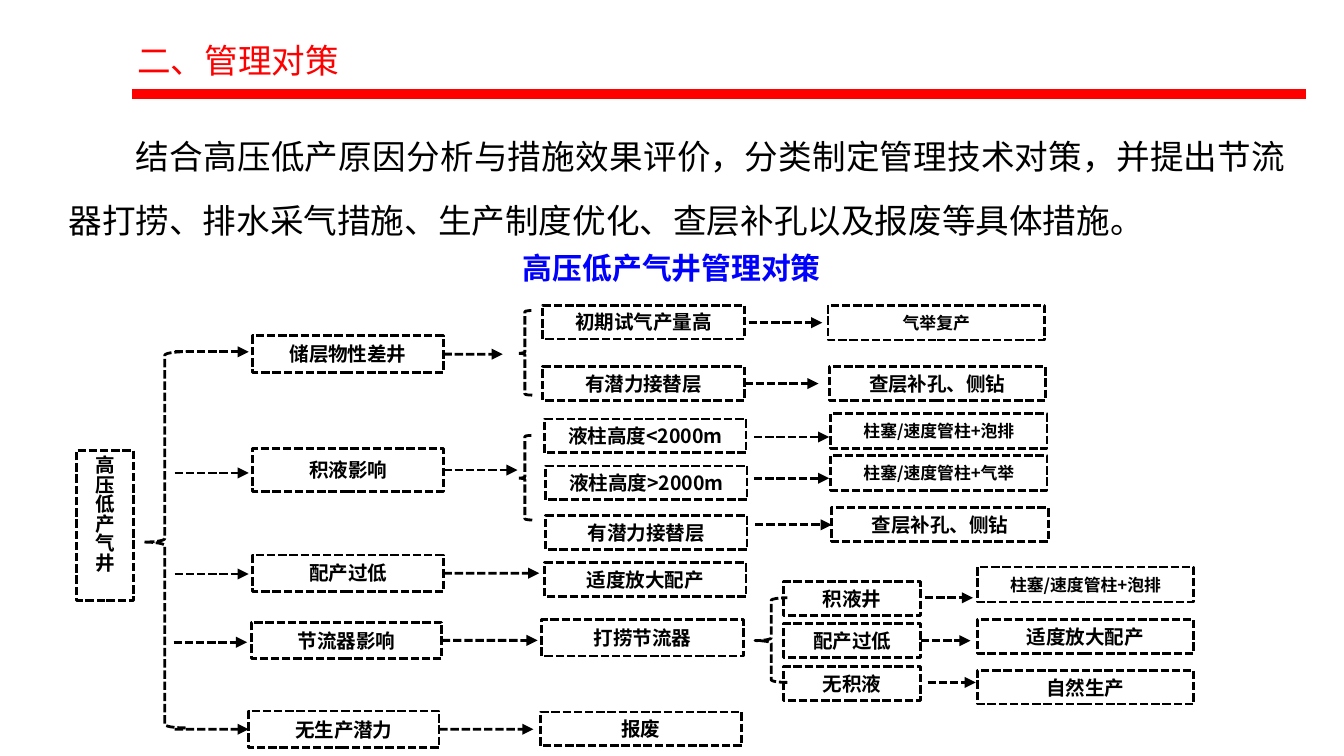
from pptx import Presentation
from pptx.dml.color import RGBColor as RGB
from pptx.enum.dml import MSO_LINE as Dash
from pptx.enum.shapes import MSO_CONNECTOR as Link, MSO_SHAPE as Form
from pptx.enum.text import MSO_ANCHOR as Anchor, MSO_AUTO_SIZE as Fit, PP_ALIGN as Align
from pptx.oxml.ns import qn
from pptx.util import Cm, Pt
from lxml.etree import SubElement as Sub

# ---- Content (all lengths in cm) ----
TITLE = "二、管理对策"
BODY = ("结合高压低产原因分析与措施效果评价，分类制定管理技术对策，并提出节流器打捞、"
        "排水采气措施、生产制度优化、查层补孔以及报废等具体措施。")
HEAD = "高压低产气井管理对策"
ROOT = ("高压低产气井", 1.45, 8.51, 1.07, 2.84)

# Each column: box width, then (text, left, top, height, type size)
COLS = [
    (3.6, [  # causes
        ("储层物性差井", 4.78, 6.35, 0.69, "box"),
        ("积液影响", 4.78, 8.48, 0.81, "box"),
        ("配产过低", 4.78, 10.49, 0.69, "box"),
        ("节流器影响", 4.75, 11.76, 0.69, "box"),
        ("无生产潜力", 4.7, 13.44, 0.69, "box")]),
    (3.81, [  # conditions
        ("初期试气产量高", 10.26, 5.77, 0.64, "box"),
        ("有潜力接替层", 10.26, 6.93, 0.64, "box"),
        ("液柱高度<2000m", 10.29, 7.92, 0.64, "box"),
        ("液柱高度>2000m", 10.31, 8.81, 0.64, "box"),
        ("有潜力接替层", 10.31, 9.75, 0.64, "box"),
        ("适度放大配产", 10.29, 10.64, 0.64, "box"),
        ("打捞节流器", 10.24, 11.71, 0.69, "box"),
        ("报废", 10.21, 13.46, 0.64, "box")]),
    (4.09, [  # measures
        ("气举复产", 15.65, 5.77, 0.66, "small"),
        ("查层补孔、侧钻", 15.67, 6.93, 0.64, "box"),
        ("柱塞/速度管柱+泡排", 15.7, 7.82, 0.66, "small"),
        ("柱塞/速度管柱+气举", 15.7, 8.61, 0.66, "small"),
        ("查层补孔、侧钻", 15.72, 9.6, 0.64, "box")]),
    (2.59, [  # states after choke removal
        ("积液井", 14.81, 11, 0.64, "box"),
        ("配产过低", 14.81, 11.79, 0.64, "box"),
        ("无积液", 14.81, 12.6, 0.64, "box")]),
    (4.09, [  # follow-up measures
        ("柱塞/速度管柱+泡排", 18.47, 10.72, 0.66, "small"),
        ("适度放大配产", 18.47, 11.71, 0.64, "box"),
        ("自然生产", 18.47, 12.67, 0.64, "box")]),
]

# left, top, width, height
BRACES = [(2.72, 6.65, 0.79, 7.11), (9.78, 5.87, 0.28, 1.6),
          (9.78, 8.23, 0.28, 1.6), (14.27, 11.3, 0.61, 1.6)]

# from x, to x, y
ARROWS = [
    (3.3, 4.7, 6.65), (3.3, 4.7, 8.94), (3.3, 4.7, 10.85),
    (3.28, 4.67, 12.14), (3.3, 4.7, 13.77),
    (8.38, 9.5, 6.68), (8.38, 9.78, 8.94), (8.38, 10.19, 10.87),
    (8.36, 10.16, 12.09), (8.28, 10.08, 13.72),
    (14.15, 15.54, 6.1), (14.07, 15.47, 7.26), (14.25, 15.67, 8.26),
    (14.25, 15.67, 9.04), (14.27, 15.67, 9.96),
    (17.48, 18.39, 11.3), (17.42, 18.34, 12.12), (17.53, 18.44, 12.9),
]

THEME = {
    "font": "Noto Sans CJK SC",
    "red": RGB(255, 0, 0), "blue": RGB(0, 0, 255),
    "black": RGB(0, 0, 0), "white": RGB(255, 255, 255),
    "title": 18, "body": 18, "head": 16, "box": 10.5, "small": 9,
    "line": 1.5, "rule": 5.25,
}
NEAR = 0.07  # arrow ends this close to a side's middle are joined to it


# ---- Helpers ----
def put(obj, vals):
    for name, val in vals.items():
        setattr(obj, name, val)


def write(shape, text, size, ink="black", bold=False, frame=None, para=None):
    box = shape.text_frame
    put(box, {"word_wrap": True, **(frame or {})})
    par = box.paragraphs[0]
    run = par.add_run()
    run.text = text
    put(par, {"space_before": Pt(0), **(para or {})})
    put(run.font, {"size": Pt(THEME[size]), "bold": bold, "name": THEME["font"]})
    run.font.color.rgb = THEME[ink]
    Sub(run.font._element, qn("a:ea"), typeface=THEME["font"])
    return par


def place(shape, *spot):
    put(shape, dict(zip(("left", "top", "width", "height"), map(Cm, spot))))


def dash(line):
    put(line, {"width": Pt(THEME["line"]), "dash_style": Dash.SQUARE_DOT})
    line.color.rgb = THEME["black"]


def draw(form, *spot):
    shape = slide.shapes.add_shape(form, *map(Cm, spot))
    shape.shadow.inherit = False
    dash(shape.line)
    return shape


def node(text, x, y, w, h, size="box"):
    shape = draw(Form.RECTANGLE, x, y, w, h)
    shape.fill.solid()
    shape.fill.fore_color.rgb = THEME["white"]
    write(shape, text, size, bold=True, para={"alignment": Align.CENTER}, frame={
        "vertical_anchor": Anchor.MIDDLE,
        "margin_left": Cm(0.18), "margin_right": Cm(0.18),
        "margin_top": Cm(0.1), "margin_bottom": Cm(0.1)})
    return shape


def link(x1, x2, y):
    line = slide.shapes.add_connector(Link.STRAIGHT, Cm(x1), Cm(y), Cm(x2), Cm(y))
    return line


def flat(line):
    Sub(line._element.spPr, qn("a:effectLst"))


# ---- Slide ----
deck = Presentation()
put(deck, {"slide_width": Cm(25.4), "slide_height": Cm(14.29)})
slide = deck.slides.add_slide(deck.slide_layouts[1])

# Title, red rule, body and chart heading
rule = link(2.49, 24.69, 1.78)
rule.line.width = Pt(THEME["rule"])
rule.line.color.rgb = THEME["red"]
flat(rule)

title, body = slide.placeholders
place(title, 2.34, 0.33, 12.67, 1.32)
write(title, TITLE, "title", "red",
      frame={"vertical_anchor": Anchor.TOP, "auto_size": Fit.SHAPE_TO_FIT_TEXT},
      para={"alignment": Align.LEFT, "line_spacing": 1.4})

place(body, 1.04, 1.98, 23.52, 2.72)
par = write(body, BODY, "body", frame={"auto_size": Fit.SHAPE_TO_FIT_TEXT},
            para={"alignment": Align.JUSTIFY, "line_spacing": 1.6})
prop = par._p.get_or_add_pPr()
prop.set("marL", "0")
prop.set("indent", str(Cm(1.27)))
Sub(prop, qn("a:buNone"))

head = slide.shapes.add_textbox(*map(Cm, (8.71, 4.67, 7.98, 0.86)))
write(head, HEAD, "head", "blue", True,
      frame={"auto_size": Fit.SHAPE_TO_FIT_TEXT},
      para={"alignment": Align.CENTER, "line_spacing": 0.9})

# Boxes
root = node(*ROOT)
root.text_frame._txBody.bodyPr.set("vert", "eaVert")
sides = []  # x, y, box, connection site
for wide, items in COLS:
    for text, x, y, high, size in items:
        box = node(text, x, y, wide, high, size)
        mid = y + high / 2
        sides += [(x, mid, box, 1), (x + wide, mid, box, 3)]

# Braces
for spot in BRACES:
    brace = draw(Form.LEFT_BRACE, *spot)
    brace.fill.background()
    brace.adjustments[0], brace.adjustments[1] = 0.083, 0.506

# Arrows, levelled with the boxes they touch
for x1, x2, y in ARROWS:
    ends = [next((s for s in sides if abs(s[0] - x) < NEAR and abs(s[1] - y) < NEAR), None)
            for x in (x1, x2)]
    level = next((s[1] for s in ends if s), y)
    arrow = link(x1, x2, level)
    for end, join in zip(ends, (arrow.begin_connect, arrow.end_connect)):
        if end:
            join(*end[2:])
    dash(arrow.line)
    Sub(arrow.line._get_or_add_ln(), qn("a:tailEnd"), type="triangle")
    flat(arrow)

deck.save("out.pptx")
